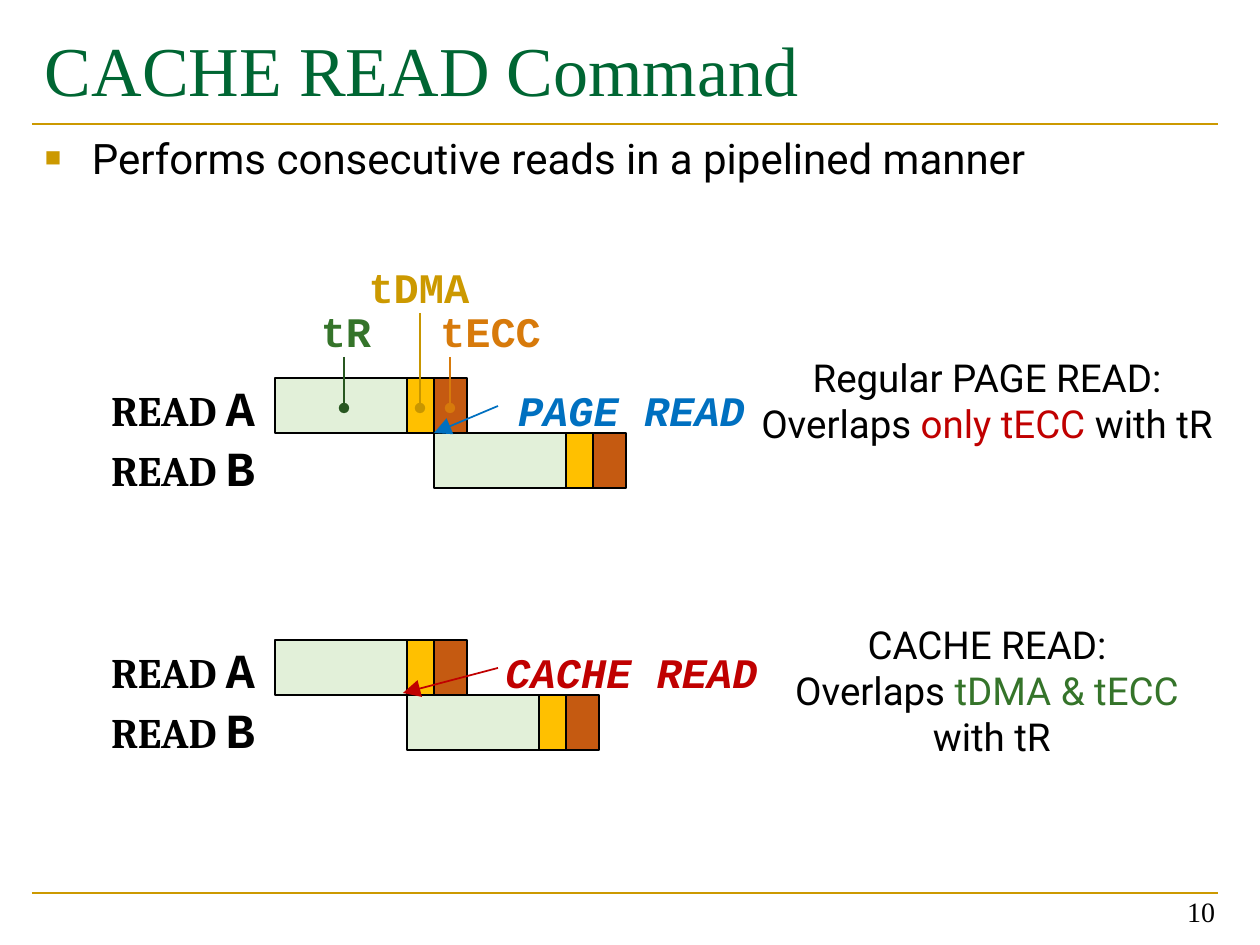
"""Build the CACHE READ command slide with two pipelined read timelines."""
from lxml import etree
from pptx import Presentation
from pptx import util as u
from pptx.dml.color import RGBColor
from pptx.enum import shapes, text
from pptx.oxml.ns import qn

PX = 914400 // 126
COLORS = {
    "black": "000000", "gold": "CC9900", "title": "006633", "blue": "0070C0",
    "red": "C00000", "green": "35742A", "orange": "D77A0B", "dark_green": "285720",
    "dark_gold": "C89600", "tR": "E2F0D9", "tDMA": "FFC000", "tECC": "C55A11",
}
MONO, SERIF, SANS = "Courier New", "Times New Roman", "Roboto"
RULES = [893, 124]
STAGES = [("tR", 132), ("tDMA", 27), ("tECC", 33)]
BAR_X, BAR_H = 275, 55
TIMELINES = [
    {"top": 378, "stages_before_b": 2, "name": "PAGE READ", "color": "blue",
     "tip": (434, 433), "note": (347, 106),
     "lines": [[("Regular PAGE READ:", "black")],
               [("Overlaps ", "black"), ("only tECC ", "red"), ("with tR", "black")]]},
    {"top": 640, "stages_before_b": 1, "name": "CACHE READ", "color": "red",
     "tip": (403, 693), "note": (614, 152),
     "lines": [[("CACHE READ:", "black")],
               [("Overlaps ", "black"), ("tDMA & tECC", "green"), ("\n", "green"),
                (" with tR", "black")]]},
]
POINTERS = [
    ("tDMA", (336, 262, 166, 50), "gold", "dark_gold", 420, 0),
    ("tR", (307, 306, 78, 50), "green", "dark_green", 344, 0),
    ("tECC", (418, 306, 135, 50), "orange", "orange", 450, 10),
]
POINTER_END = 408
TAILS = {"triangle": {"type": "triangle", "w": "lg", "len": "lg"}, "oval": {"type": "oval"}}


def px(*values):
    return [u.Emu(v * PX) for v in values]


def rgb(name):
    return RGBColor.from_string(COLORS[name])


def add_text(s, box, lines, insets=(13, 6, 13, 6), align="LEFT", anchor="MIDDLE"):
    tf = s.shapes.add_textbox(*px(*box)).text_frame
    sides = zip(("left", "top", "right", "bottom"), px(*insets))
    values = {f"margin_{side}": v for side, v in sides}
    values.update(word_wrap=True, vertical_anchor=text.MSO_ANCHOR[anchor])
    for key, value in values.items():
        setattr(tf, key, value)
    for i, line in enumerate(lines):
        p = tf.add_paragraph() if i else tf.paragraphs[0]
        p.alignment = text.PP_ALIGN[align]
        for words, color, style in line:
            if words == "\n":
                p.add_line_break()
                continue
            r = p.add_run()
            r.text = words
            r.font.color.rgb = rgb(color)
            for key, value in style.items():
                setattr(r.font, key, value)
    return tf


def font(name, size, **style):
    return {"name": name, "size": u.Pt(size), **style}


def add_line(s, start, end, color, width, tail=None):
    line = s.shapes.add_connector(shapes.MSO_CONNECTOR.STRAIGHT, *px(*start, *end))
    line.line.color.rgb = rgb(color)
    line.line.width = u.Pt(width)
    spPr = line.element.spPr
    if tail:
        etree.SubElement(spPr.find(qn("a:ln")), qn("a:tailEnd"), TAILS[tail])
    etree.SubElement(spPr, qn("a:effectLst"))


def add_bars(s, x, y):
    for stage, width in STAGES:
        bar = s.shapes.add_shape(shapes.MSO_SHAPE.RECTANGLE, *px(x, y, width, BAR_H))
        bar.shadow.inherit = False
        bar.fill.solid()
        bar.fill.fore_color.rgb = rgb(stage)
        bar.line.color.rgb = rgb("black")
        bar.line.width = u.Pt(1.25)
        x += width


def add_bullet(p):
    pPr = p._p.get_or_add_pPr()
    pPr.set("marL", str(47 * PX))
    pPr.set("indent", str(-47 * PX))
    color = etree.SubElement(pPr, qn("a:buClr"))
    etree.SubElement(color, qn("a:srgbClr"), val=COLORS["gold"])
    etree.SubElement(pPr, qn("a:buSzPct"), val="65000")
    etree.SubElement(pPr, qn("a:buFont"), typeface="Arial")
    etree.SubElement(pPr, qn("a:buChar"), char="■")


def add_timeline(s, t):
    top = t["top"]
    b_x = BAR_X + sum(width for _, width in STAGES[:t["stages_before_b"]])
    for i, (letter, x) in enumerate((("A", BAR_X), ("B", b_x))):
        add_bars(s, x, top + i * BAR_H)
        label = [("READ ", "black", font("Cambria", 24, bold=True)),
                 (letter, "black", font(MONO, 28, bold=True))]
        add_text(s, (62, top - 1 + i * 60, 232, 59), [label], (10, 0, 0, 0), "CENTER")
    name = (t["name"], t["color"], font(MONO, 24, bold=True, italic=True))
    add_text(s, (493, top, 277, 63), [[name]], (0, 6, 0, 6), "CENTER")
    add_line(s, (498, top + 28), t["tip"], t["color"], 1, "triangle")
    note_y, note_h = t["note"]
    lines = [[(*run, font(SANS, 22)) for run in line] for line in t["lines"]]
    add_text(s, (731, note_y, 512, note_h), lines, align="CENTER")


def main():
    prs = Presentation()
    prs.slide_width, prs.slide_height = u.Inches(10), u.Inches(7.5)
    s = prs.slides.add_slide(prs.slide_layouts[6])
    for y in RULES:
        add_line(s, (32, y), (1218, y), "gold", 1.5)
    bullet = ("Performs consecutive reads in a pipelined manner", "black", font(SANS, 24))
    p = add_text(s, (32, 126, 1187, 766), [[bullet]], anchor="TOP").paragraphs[0]
    p.space_before = u.Pt(5)
    add_bullet(p)
    title = ("CACHE READ Command", "title", font(SERIF, 40))
    add_text(s, (32, 21, 1187, 147), [[title]], anchor="TOP")
    number = ("10", "black", font(SERIF, 16))
    add_text(s, (934, 871, 294, 63), [[number]], align="RIGHT", anchor="BOTTOM")
    for t in TIMELINES:
        add_timeline(s, t)
    for name, box, color, line_color, x, inset in POINTERS:
        label = (name, color, font(MONO, 24, bold=True))
        add_text(s, box, [[label]], (inset, 0, 0, 0), "CENTER")
        add_line(s, (x, box[1] + box[3] + 1), (x, POINTER_END), line_color, 1, "oval")
    prs.save("out.pptx")


if __name__ == "__main__":
    main()
